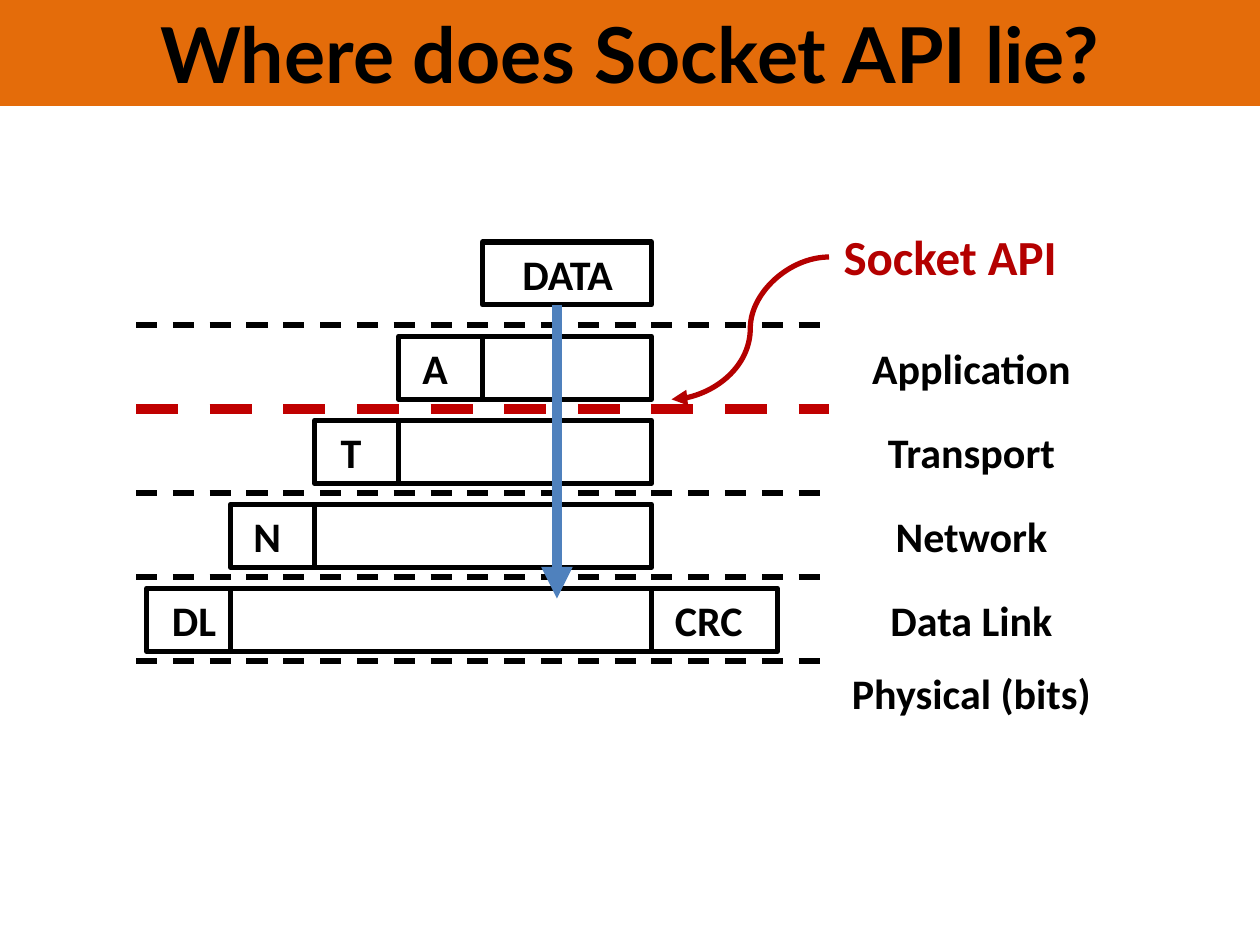
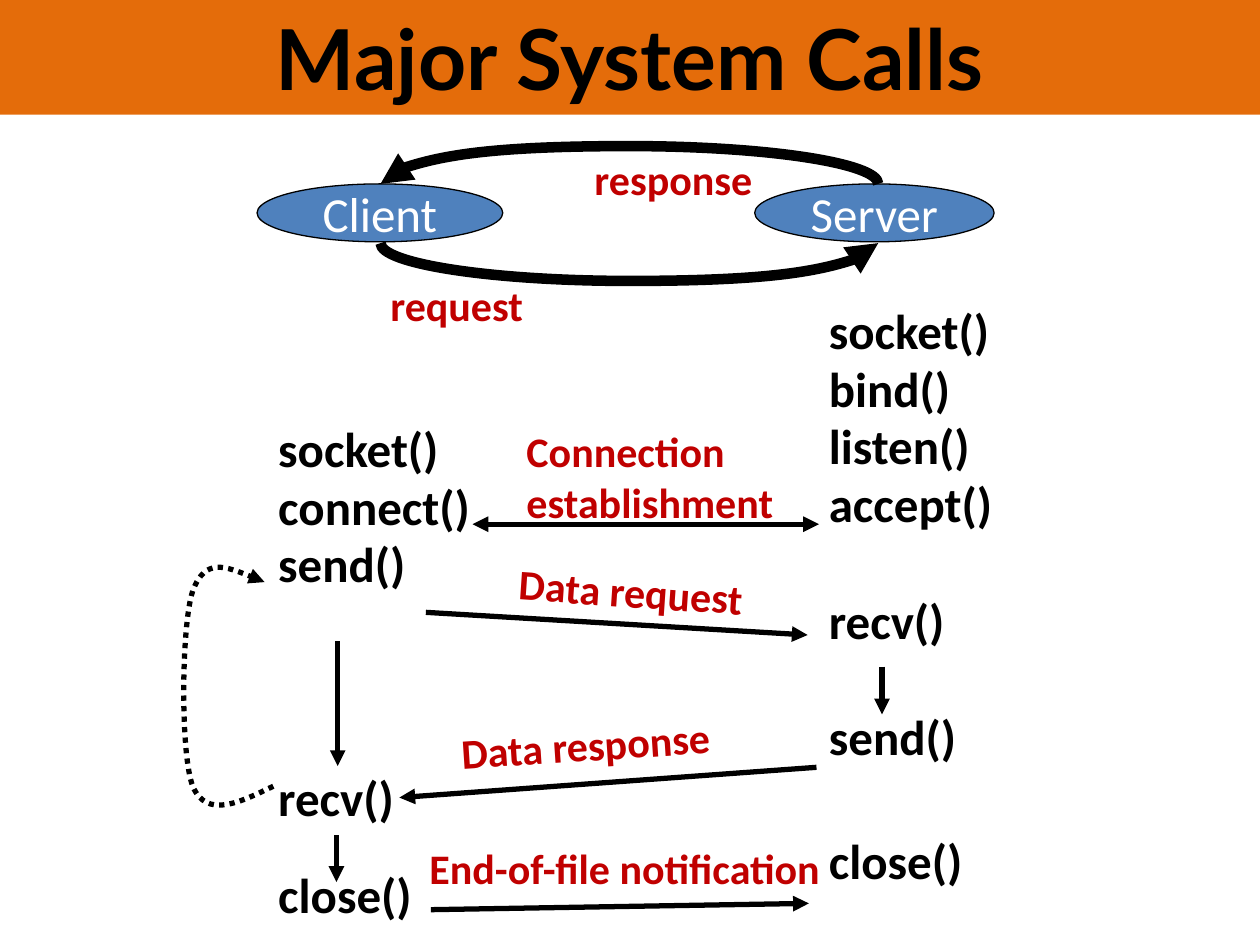
from lxml import etree
from pptx import Presentation
from pptx.dml.color import RGBColor
from pptx.enum.dml import MSO_LINE
from pptx.enum.shapes import MSO_CONNECTOR, MSO_SHAPE
from pptx.enum.text import MSO_ANCHOR, MSO_AUTO_SIZE, PP_ALIGN
from pptx.oxml.ns import qn
from pptx.util import Inches, Pt

COLORS = {
    "band": "E46C0A",
    "ink": "000000",
    "paper": "FFFFFF",
    "blue": "4F81BD",
    "red": "C00000",
    "socket": "B40000",
}
BODY_FONT = "Calibri"
TITLE_FONT = "Lato"
STRAIGHT = MSO_CONNECTOR.STRAIGHT
CURVE = MSO_CONNECTOR.CURVE
DASH = MSO_LINE.DASH
DOT = MSO_LINE.ROUND_DOT
LEFT = PP_ALIGN.LEFT
CENTER = PP_ALIGN.CENTER
FIT_TEXT = MSO_AUTO_SIZE.SHAPE_TO_FIT_TEXT

STEP = 2 / 3
ROW_HEIGHT = 0.5
DATA_LEFT, DATA_RIGHT = 3.83, 5.17
CALL_LINE = 33.6


def rgb(name):
    return RGBColor.from_string(COLORS[name])


def inches(*lengths):
    return [Inches(length) for length in lengths]


def style_text(frame, size, color="ink", bold=True, align=LEFT, font=BODY_FONT):
    for paragraph in frame.paragraphs:
        paragraph.alignment = align
        paragraph.font.name = font
        paragraph.font.size = Pt(size)
        paragraph.font.bold = bold
        paragraph.font.color.rgb = rgb(color)


def style_line(item, color, width, dash=None, ends=()):
    item.line.color.rgb = rgb(color)
    item.line.width = Pt(width)
    if dash:
        item.line.dash_style = dash
    outline = item.element.spPr.find(qn("a:ln"))
    for end in ends:
        etree.SubElement(outline, qn(f"a:{end}"), type="triangle")


def add_block(slide, preset, box, fill=None, outline=None):
    block = slide.shapes.add_shape(preset, *inches(*box))
    block.shadow.inherit = False
    if fill:
        block.fill.solid()
        block.fill.fore_color.rgb = rgb(fill)
    else:
        block.fill.background()
    if outline:
        style_line(block, "ink", outline)
    else:
        block.line.fill.background()
    return block


def add_title(slide, text, height, size):
    band = add_block(slide, MSO_SHAPE.RECTANGLE, (0, 0, 10, height), "band")
    frame = band.text_frame
    frame.text = text
    frame.vertical_anchor = MSO_ANCHOR.TOP
    frame.auto_size = FIT_TEXT
    style_text(frame, size, align=CENTER, font=TITLE_FONT)


def add_label(slide, text, box, size=24, color="ink", align=CENTER, wrap=True, angle=0):
    label = slide.shapes.add_textbox(*inches(*box))
    label.rotation = angle
    frame = label.text_frame
    frame.text = text
    frame.word_wrap = wrap
    frame.auto_size = FIT_TEXT
    style_text(frame, size, color, align=align)
    return frame


def add_note(slide, text, box, angle=0):
    add_label(slide, text, box, color="red", align=LEFT, wrap=False, angle=angle)


def add_line(slide, start, end, color="ink", width=3, dash=None,
             ends=("tailEnd",), kind=STRAIGHT):
    line = slide.shapes.add_connector(kind, *inches(*start, *end))
    style_line(line, color, width, dash, ends)
    etree.SubElement(line.element.spPr, qn("a:effectLst"))


def add_bezier(slide, points, width, dash=None):
    start, *rest = [inches(*point) for point in points]
    builder = slide.shapes.build_freeform(*start)
    builder.add_line_segments(rest, close=False)
    curve = builder.convert_to_shape()
    curve.shadow.inherit = False
    curve.fill.background()
    style_line(curve, "ink", width, dash, ("tailEnd",))
    segments = list(curve.element.iter(qn("a:lnTo")))
    for first in range(0, len(segments), 3):
        trio = segments[first:first + 3]
        cubic = etree.Element(qn("a:cubicBezTo"))
        trio[0].addprevious(cubic)
        for segment in trio:
            cubic.append(segment[0])
            segment.getparent().remove(segment)


def add_half_ellipse(slide, start_x, end_x, y, rise):
    middle = (start_x + end_x) / 2
    reach = 0.55 * (middle - start_x)
    shoulder = y + 0.55 * rise
    peak = y + rise
    add_bezier(slide, [
        (start_x, y), (start_x, shoulder), (middle - reach, peak), (middle, peak),
        (middle + reach, peak), (end_x, shoulder), (end_x, y),
    ], 6)


def add_calls(slide, calls, box, first_gap=0.0):
    names = "\n".join(name for name, _ in calls)
    frame = add_label(slide, names, box, size=28, align=LEFT)
    frame.auto_size = MSO_AUTO_SIZE.NONE
    frame.margin_top = Inches(0.05 + first_gap)
    for paragraph, (_, gap) in zip(frame.paragraphs, calls):
        paragraph.space_before = Pt(gap)
        paragraph.line_spacing = 0.98


def add_node(slide, name, box):
    node = add_block(slide, MSO_SHAPE.OVAL, box, "blue", 0.75)
    frame = node.text_frame
    frame.text = name
    frame.word_wrap = False
    frame.vertical_anchor = MSO_ANCHOR.MIDDLE
    style_text(frame, 28, "paper", bold=False, align=CENTER)


def build_layers(slide):
    for boundary in range(5):
        y = 2.58 + boundary * STEP
        color, width = ("red", 6) if boundary == 1 else ("ink", 3)
        add_line(slide, (1.08, y), (6.58, y), color, width, DASH, ends=())

    data_width = DATA_RIGHT - DATA_LEFT
    add_block(slide, MSO_SHAPE.RECTANGLE,
              (DATA_LEFT, 1.92, data_width, ROW_HEIGHT), outline=3)
    add_label(slide, "DATA", (3.92, 1.92, 1.17, ROW_HEIGHT))

    layers = [("A", "Application"), ("T", "Transport"),
              ("N", "Network"), ("DL", "Data Link")]
    for row, (header, layer) in enumerate(layers):
        top = 2.67 + row * STEP
        payload_left = DATA_LEFT - row * STEP
        header_left = payload_left - STEP
        for left, right in ((payload_left, DATA_RIGHT), (header_left, payload_left)):
            add_block(slide, MSO_SHAPE.RECTANGLE,
                      (left, top, right - left, ROW_HEIGHT), outline=3)
        label_left, label_width = (1.08, 0.92) if header == "DL" else (header_left, 0.58)
        add_label(slide, header, (label_left, top, label_width, ROW_HEIGHT))
        add_label(slide, layer, (6.5, top, 2.42, ROW_HEIGHT))

    add_block(slide, MSO_SHAPE.RECTANGLE, (DATA_RIGHT, 4.67, 1, ROW_HEIGHT), outline=3)
    add_label(slide, "CRC", (5, 4.67, 1.25, ROW_HEIGHT))
    add_label(slide, "Physical (bits)", (6.5, 5.25, 2.42, ROW_HEIGHT))
    add_label(slide, "Socket API", (6.58, 1.75, 1.92, 0.57), 28, "socket")
    add_line(slide, (6.58, 2.04), (5.33, 3.17), "socket", kind=CURVE)
    add_line(slide, (4.42, 2.42), (4.42, 4.75), "blue", 6)
    add_title(slide, "Where does Socket API lie?", 0.84, 44)


def build_system_calls(slide):
    add_title(slide, "Major System Calls", 0.91, 48)
    add_calls(slide, [
        ("socket()", 0), ("bind()", 0), ("listen()", 0), ("accept()", 0),
        ("recv()", CALL_LINE), ("send()", CALL_LINE), ("close()", 37.8),
    ], (6.48, 2.36, 2.18, 5.39))
    add_calls(slide, [
        ("socket()", 0), ("connect()", 0), ("send()", 0),
        ("recv()", 3 * CALL_LINE), ("close()", 22.4),
    ], (2.11, 2.36, 2.18, 5.28), first_gap=2 * CALL_LINE / 72)

    add_node(slide, "Client", (2.04, 1.46, 1.95, 0.46))
    add_node(slide, "Server", (5.99, 1.46, 1.9, 0.46))
    add_half_ellipse(slide, 3.02, 6.97, 1.93, 0.3)
    add_half_ellipse(slide, 6.97, 3.02, 1.46, -0.3)

    add_note(slide, "request", (3, 2.17, 1.27, 0.5))
    add_note(slide, "response", (4.62, 1.17, 1.47, 0.5))
    add_note(slide, "Connection\nestablishment", (4.08, 3.33, 2.18, 0.91))
    add_note(slide, "Data response", (3.56, 5.66, 2.2, 0.5), angle=356.2)
    add_note(slide, "Data request", (4.02, 4.44, 2, 0.5), angle=3.9)
    add_note(slide, "End-of-file notification", (3.31, 6.64, 3.32, 0.5))

    arrows = [
        ((2.68, 5.09), (2.68, 6.08)),
        ((3.38, 4.86), (6.41, 5.04)),
        ((6.48, 6.09), (3.17, 6.33)),
        ((7, 5.29), (7, 5.67)),
        ((3.42, 7.22), (6.42, 7.17)),
        ((2.67, 6.63), (2.67, 7)),
    ]
    for start, end in arrows:
        add_line(slide, start, end)
    add_line(slide, (6.5, 4.16), (3.75, 4.16), ends=("headEnd", "tailEnd"))
    add_bezier(slide, [
        (2.17, 6.24), (1.9, 6.37), (1.64, 6.5), (1.53, 6.24),
        (1.43, 5.98), (1.44, 4.96), (1.53, 4.69),
        (1.63, 4.42), (1.86, 4.52), (2.1, 4.62),
    ], 3, DOT)


def main():
    deck = Presentation()
    deck.slide_width, deck.slide_height = inches(10, 7.5)
    blank = deck.slide_layouts[6]
    for build in (build_layers, build_system_calls):
        build(deck.slides.add_slide(blank))
    deck.save("out.pptx")


if __name__ == "__main__":
    main()
